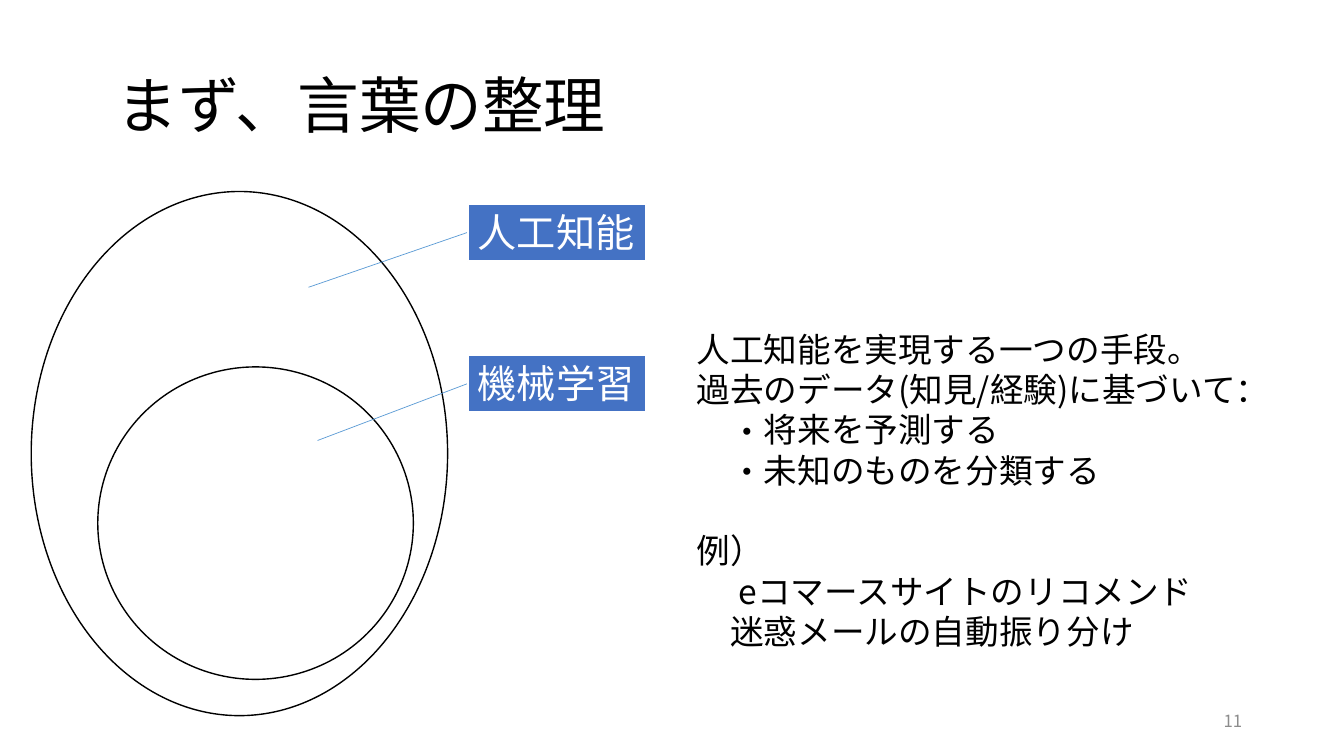
from pptx import Presentation
from pptx.dml.color import RGBColor
from pptx.enum.shapes import MSO_CONNECTOR, MSO_SHAPE
from pptx.enum.text import MSO_ANCHOR, MSO_AUTO_SIZE, PP_ALIGN
from pptx.oxml.ns import qn
from pptx.util import Inches, Pt
from lxml.etree import SubElement

FONT = "Noto Sans CJK JP"
BODY_SIZE = 24
LEADING = 1.2


def color(value):
    return RGBColor.from_string(value)


def style(para, size, value, align=PP_ALIGN.LEFT):
    para.alignment = align
    para.font.size = Pt(size)
    para.font.name = FONT
    para.font.color.rgb = color(value)
    for span in para.runs:
        SubElement(span._r.get_or_add_rPr(), qn("a:ea"), typeface=FONT)


deck = Presentation()
deck.slide_width, deck.slide_height = Inches(13.33), Inches(7.5)
page = deck.slides.add_slide(deck.slide_layouts[1])
title, body = page.placeholders

# Title
title.left, title.top, title.width, title.height = map(Inches, (1.06, 0.35, 11.5, 1.45))
title.text_frame.text = "まず、言葉の整理"
title.text_frame.vertical_anchor = MSO_ANCHOR.MIDDLE
title.text_frame.paragraphs[0].line_spacing = 0.9
style(title.text_frame.paragraphs[0], 44, "000000")

# Explanation: text, indent in characters, bullet, lines of space before
explanation = [
    ("人工知能を実現する一つの手段。", 0, None, 0),
    ("過去のデータ(知見/経験)に基づいて：", 0, None, 0),
    ("将来を予測する", 2, "・", 0),
    ("未知のものを分類する", 2, "・", 0),
    ("例）", 0, None, 1),
    ("eコマースサイトのリコメンド", 1.25, None, 0),
    ("迷惑メールの自動振り分け", 1, None, 0),
]
body.left, body.top, body.width, body.height = map(Inches, (6.81, 3.21, 6, 3.33))
frame = body.text_frame
frame.auto_size = MSO_AUTO_SIZE.NONE
frame.vertical_anchor = MSO_ANCHOR.TOP
frame.text = "\n".join(line[0] for line in explanation)
for para, (_, indent, bullet, gap) in zip(frame.paragraphs, explanation):
    para.line_spacing = Pt(BODY_SIZE * LEADING)
    para.space_before = Pt(gap * BODY_SIZE * LEADING)
    props = para._p.get_or_add_pPr()
    props.set("marL", str(Pt(indent * BODY_SIZE)))
    props.set("indent", str(-Pt(BODY_SIZE) if bullet else 0))
    if bullet:
        SubElement(props, qn("a:buFont"), typeface=FONT)
        SubElement(props, qn("a:buChar"), char=bullet)
    else:
        SubElement(props, qn("a:buNone"))
    style(para, BODY_SIZE, "000000")

# Nested sets
for bounds in [(0.31, 1.9, 4.13, 5.2), (0.97, 3.64, 3.13, 3.1)]:
    oval = page.shapes.add_shape(MSO_SHAPE.OVAL, *map(Inches, bounds))
    oval.shadow.inherit = False
    oval.fill.solid()
    oval.fill.fore_color.rgb = color("FFFFFF")
    oval.line.color.rgb = color("000000")
    oval.line.width = Pt(1)

# Labels with leader lines into the sets
LABEL_LEFT, LABEL_HEIGHT = 4.64, 0.57
for name, top, end_x, end_y in [("人工知能", 2.02, 3.06, 2.85),
                                ("機械学習", 3.52, 3.15, 4.37)]:
    leader = page.shapes.add_connector(
        MSO_CONNECTOR.STRAIGHT, Inches(LABEL_LEFT), Inches(top + LABEL_HEIGHT / 2),
        Inches(end_x), Inches(end_y))
    leader.line.color.rgb = color("5B9BD5")
    leader.line.width = Pt(0.5)
    SubElement(leader._element.spPr, qn("a:effectLst"))

    label = page.shapes.add_shape(MSO_SHAPE.RECTANGLE, Inches(LABEL_LEFT), Inches(top),
                                  Inches(1.77), Inches(LABEL_HEIGHT))
    label.shadow.inherit = False
    label.fill.solid()
    label.fill.fore_color.rgb = color("4472C4")
    label.line.color.rgb = color("FFFFFF")
    label.line.width = Pt(1.5)
    label.text_frame.text = name
    label.text_frame.word_wrap = False
    label.text_frame.vertical_anchor = MSO_ANCHOR.TOP
    label.text_frame.paragraphs[0].line_spacing = Pt(28 * LEADING)
    style(label.text_frame.paragraphs[0], 28, "FFFFFF")

# Page number
box = page.shapes.add_textbox(Inches(9.42), Inches(6.95), Inches(3), Inches(0.4))
box.text_frame.text = "11"
box.text_frame.word_wrap = True
box.text_frame.vertical_anchor = MSO_ANCHOR.MIDDLE
style(box.text_frame.paragraphs[0], 12, "8C8C8C", PP_ALIGN.RIGHT)

deck.save("out.pptx")
